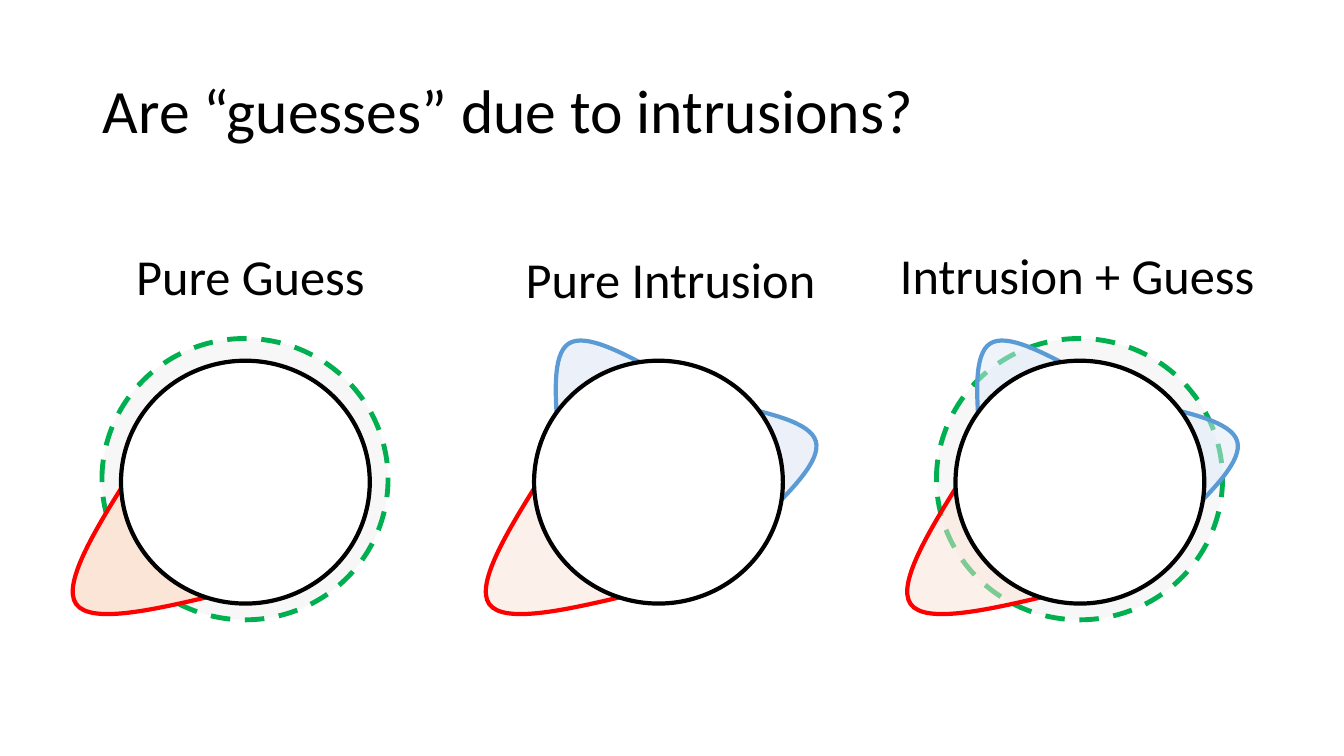
from pptx import Presentation
from pptx.dml.color import RGBColor
from pptx.enum.dml import MSO_LINE
from pptx.enum.shapes import MSO_SHAPE
from pptx.enum.text import MSO_ANCHOR, MSO_AUTO_SIZE
from pptx.oxml.ns import qn
from pptx.util import Cm, Pt
from lxml.etree import SubElement

BLACK = RGBColor(0x00, 0x00, 0x00)
WHITE = RGBColor(0xFF, 0xFF, 0xFF)
GRAY = RGBColor(0xE7, 0xE6, 0xE6)
GREEN = RGBColor(0x00, 0xB0, 0x50)
RED = RGBColor(0xFF, 0x00, 0x00)
PEACH = RGBColor(0xFB, 0xE5, 0xD6)
BLUE = RGBColor(0x5B, 0x9B, 0xD5)
LAVENDER = RGBColor(0xDA, 0xE3, 0xF3)
SKY = RGBColor(0xDE, 0xEB, 0xF7)

BELL = [(0, 1), (1 / 6, 0.5), (1 / 3, 0), (0.5, 0), (2 / 3, 0), (5 / 6, 0.5), (1, 1)]


def style(sp, fill, line, width=3, opacity=100):
    sp.shadow.inherit = False
    sp.fill.solid()
    sp.fill.fore_color.rgb = fill
    if opacity < 100:
        clr = sp.fill._xPr.find(qn("a:solidFill"))[0]
        SubElement(clr, qn("a:alpha")).set("val", str(opacity * 1000))
    sp.line.color.rgb = line
    sp.line.width = Pt(width)


def add_text(s, text, x, y, w, h, size, wrap=False):
    sp = s.shapes.add_textbox(Cm(x), Cm(y), Cm(w), Cm(h))
    tf = sp.text_frame
    tf.word_wrap = wrap
    tf.auto_size = MSO_AUTO_SIZE.NONE if wrap else MSO_AUTO_SIZE.SHAPE_TO_FIT_TEXT
    p = tf.paragraphs[0]
    r = p.add_run()
    r.text = text
    r.font.name = "Calibri"
    r.font.size = Pt(size)
    r.font.color.rgb = BLACK
    return tf


def add_ellipse(s, x, y, w, h):
    return s.shapes.add_shape(MSO_SHAPE.OVAL, Cm(x), Cm(y), Cm(w), Cm(h))


def add_bell(s, x, y, w, h, rotation):
    pts = [(Cm(x + w * u), Cm(y + h * v)) for u, v in BELL]
    builder = s.shapes.build_freeform(*pts[0])
    builder.add_line_segments(pts[1:], close=False)
    sp = builder.convert_to_shape()
    segments = list(sp._element.iter(qn("a:lnTo")))
    outline = segments[0].getparent()
    for i in range(0, len(segments), 3):
        curve = SubElement(outline, qn("a:cubicBezTo"))
        for seg in segments[i:i + 3]:
            curve.append(seg[0])
            outline.remove(seg)
    sp.rotation = rotation
    return sp


def add_panel(s, dx, guess, intrusion, target_opacity):
    if guess:
        ring = add_ellipse(s, dx + 2.57, 8.53, 7.21, 7.09)
        style(ring, GRAY, GREEN, 3.5, 30)
        ring.line.dash_style = MSO_LINE.DASH
    if intrusion:
        for x, y, rotation in [(7.77, 10.46, 73.8), (2.92, 8.51, 327)]:
            style(add_bell(s, dx + x, y, 3, 1.83, rotation), intrusion, BLUE, opacity=50)
    target = add_bell(s, dx + 1.27, 12.73, 3.86, 3.15, 234.4)
    style(target, PEACH, RED, opacity=target_opacity)
    style(add_ellipse(s, dx + 3.05, 9.09, 6.27, 6.12), WHITE, BLACK)


def main():
    prs = Presentation()
    prs.slide_width, prs.slide_height = Cm(33.87), Cm(19.05)
    s = prs.slides.add_slide(prs.slide_layouts[6])

    tf = add_text(s, "Are “guesses” due to intrusions?", 2.34, 1.02, 29.21, 3.68, 44, True)
    tf.vertical_anchor = MSO_ANCHOR.MIDDLE
    tf.paragraphs[0].line_spacing = 0.9

    add_panel(s, 0, True, None, 100)
    add_panel(s, 10.41, False, LAVENDER, 50)
    add_panel(s, 21.03, True, SKY, 50)

    for text, x, y, w in [
        ("Pure Guess", 3.18, 6.05, 6.32),
        ("Pure Intrusion", 13, 6.12, 7.87),
        ("Intrusion + Guess", 22.43, 6.02, 9.53),
    ]:
        add_text(s, text, x, y, w, 1.8, 36)

    prs.save("out.pptx")


if __name__ == "__main__":
    main()
